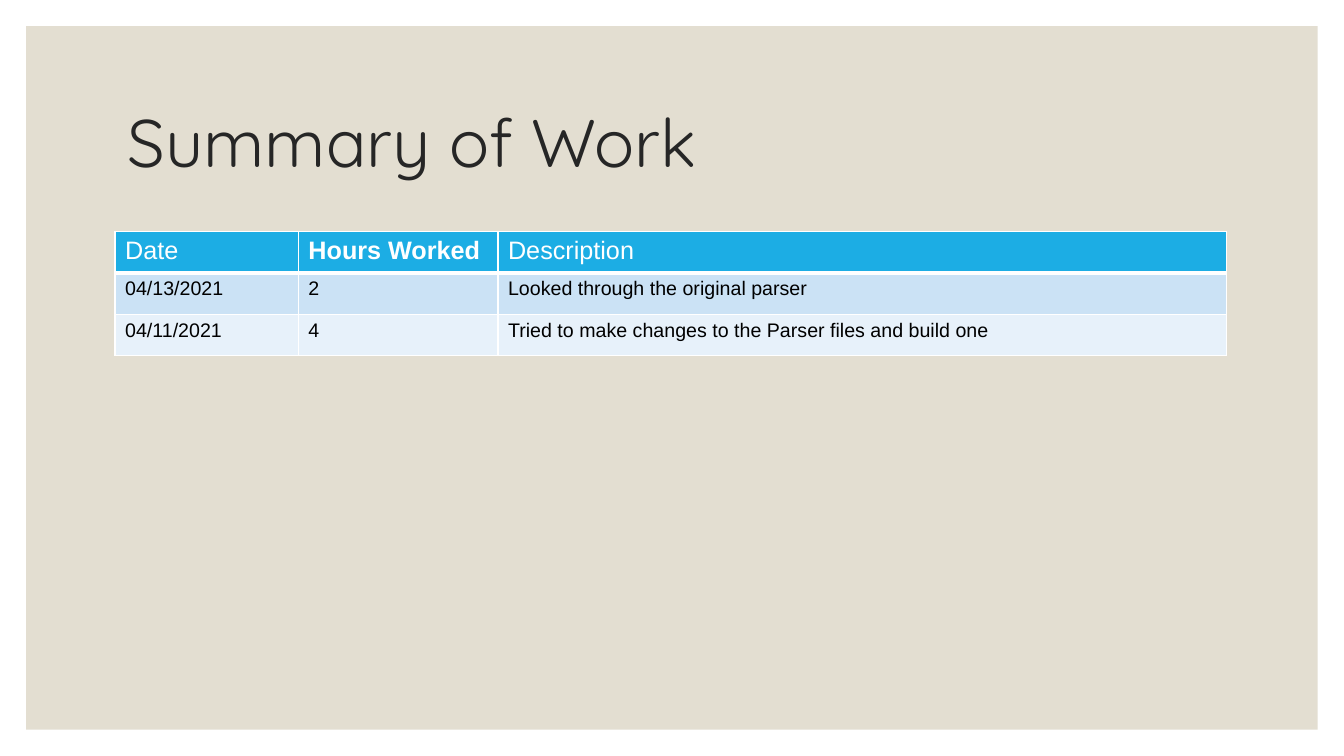
from lxml.etree import SubElement
from pptx import Presentation
from pptx.dml.color import RGBColor
from pptx.enum.shapes import MSO_SHAPE as SHAPE
from pptx.enum.text import MSO_ANCHOR as ANCHOR
from pptx.oxml.ns import qn
from pptx.util import Cm, Pt

TITLE = "Summary of Work"
HEADERS = [("Date", False), ("Hours Worked", True), ("Description", False)]
ENTRIES = [
    ("04/13/2021", "2", "Looked through the original parser"),
    ("04/11/2021", "4", "Tried to make changes to the Parser files and build one"),
]
COL_WIDTHS = [4.62, 5.03, 18.36]
ROW_HEIGHT = 1.04

WHITE = RGBColor(0xFF, 0xFF, 0xFF)
BLACK = RGBColor(0, 0, 0)
SAND = RGBColor(0xE3, 0xDE, 0xD1)
CHARCOAL = RGBColor(0x26, 0x26, 0x26)
BLUE = RGBColor(0x1C, 0xAD, 0xE4)
BANDS = [RGBColor(0xCB, 0xE2, 0xF5), RGBColor(0xE7, 0xF1, 0xFA)]

SLIDE_W, SLIDE_H = 33.87, 19.05
MARGIN = 0.66


def write(tf, text, size, color, font="Arial", bold=False, spacing=1.0):
    p = tf.paragraphs[0]
    p.line_spacing = spacing
    r = p.add_run()
    r.text = text
    r.font.name = font
    r.font.size = Pt(size)
    r.font.bold = bold
    r.font.color.rgb = color


def set_borders(cell, top, bottom):
    """Draw white cell borders; top and bottom are widths in points."""
    tc_pr = cell._tc.get_or_add_tcPr()
    widths = {"a:lnL": 1, "a:lnR": 1, "a:lnT": top, "a:lnB": bottom}
    for i, (tag, width) in enumerate(widths.items()):
        ln = SubElement(tc_pr, qn(tag), w=str(Pt(width)))
        fill = SubElement(ln, qn("a:solidFill"))
        SubElement(fill, qn("a:srgbClr"), val=str(WHITE))
        tc_pr.insert(i, ln)


def fill_cell(cell, text, size, color, fill, bold=False, top=1, bottom=1):
    write(cell.text_frame, text, size, color, bold=bold)
    cell.fill.solid()
    cell.fill.fore_color.rgb = fill
    set_borders(cell, top, bottom)


prs = Presentation()
prs.slide_width, prs.slide_height = Cm(SLIDE_W), Cm(SLIDE_H)
s = prs.slides.add_slide(prs.slide_layouts[6])

panel = s.shapes.add_shape(SHAPE.RECTANGLE, Cm(MARGIN), Cm(MARGIN),
                           Cm(SLIDE_W - 2 * MARGIN), Cm(SLIDE_H - 2 * MARGIN))
panel.shadow.inherit = False
panel.fill.solid()
panel.fill.fore_color.rgb = SAND
panel.line.fill.background()

title = s.shapes.add_textbox(Cm(2.97), Cm(1.78), Cm(27.94), Cm(3.81))
tf = title.text_frame
tf.word_wrap = True
tf.vertical_anchor = ANCHOR.MIDDLE
write(tf, TITLE, 48, CHARCOAL, font="Quicksand", spacing=0.9)

n_rows = len(ENTRIES) + 1
table = s.shapes.add_table(n_rows, len(HEADERS), Cm(2.9), Cm(5.84),
                           Cm(sum(COL_WIDTHS)), Cm(n_rows * ROW_HEIGHT)).table
for col, width in zip(table.columns, COL_WIDTHS):
    col.width = Cm(width)
for row in table.rows:
    row.height = Cm(ROW_HEIGHT)

for c, (text, bold) in enumerate(HEADERS):
    fill_cell(table.cell(0, c), text, 18, WHITE, BLUE, bold=bold, bottom=3)
for r, entry in enumerate(ENTRIES, start=1):
    for c, text in enumerate(entry):
        fill_cell(table.cell(r, c), text, 14, BLACK, BANDS[(r - 1) % 2],
                  top=3 if r == 1 else 1)

prs.save("out.pptx")
